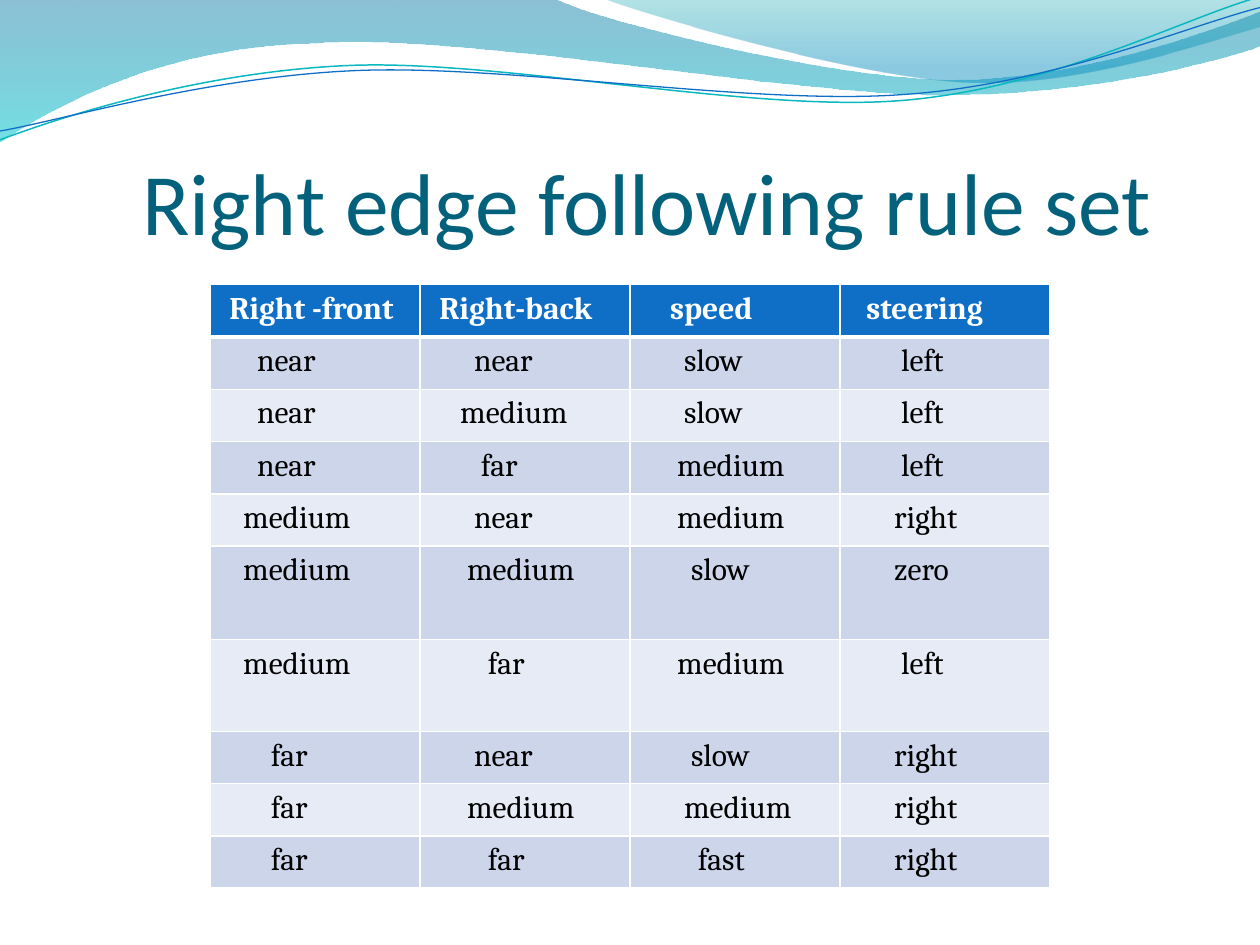
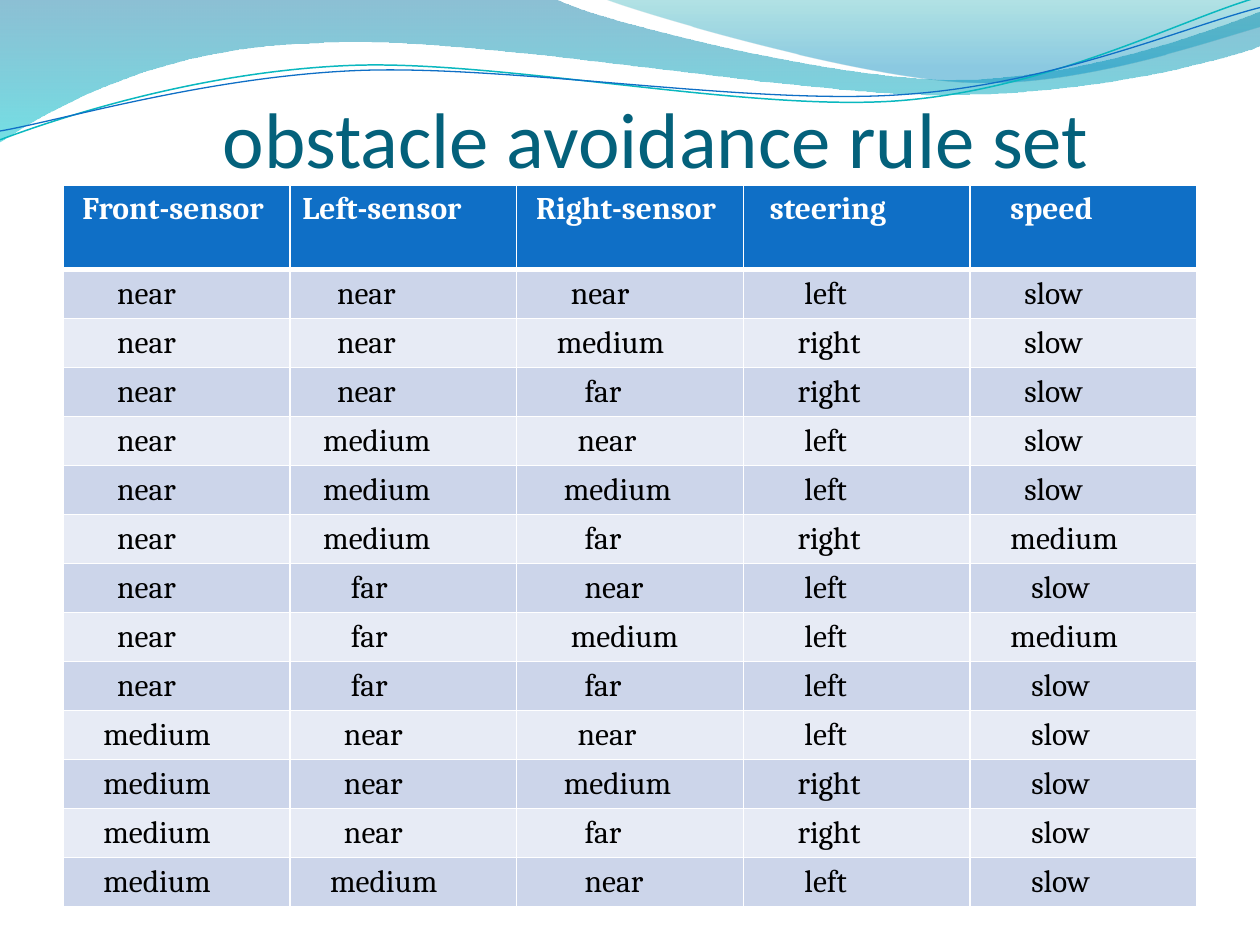
from math import cos, radians, sin

from lxml.etree import SubElement
from pptx import Presentation
from pptx.dml.color import RGBColor
from pptx.enum.text import MSO_ANCHOR
from pptx.oxml import parse_xml
from pptx.oxml.ns import nsdecls, qn
from pptx.util import Inches, Pt

COLORS = {
    "title": "04617B",
    "header": "0F6FC6",
    "header_text": "FFFFFF",
    "body_text": "000000",
    "odd_row": "CCD5EA",
    "even_row": "E7EBF5",
    "border": "FFFFFF",
    "teal_line": "0AB8BF",
    "blue_line": "0F6FC6",
    "wave_top": "0074A1",
    "wave_bottom": "00C6CF",
    "crest_top": "00A1A9",
    "crest_bottom": "008BBF",
}
TITLE_FONT = "Calibri"
TABLE_FONT = "Cambria"
TABLE_SIZE = 18
SPACE_EM = 0.22
SLIDE_WIDTH = 10
LINE_TILT = -2.7
LINE_PIVOT = (4.99, 0.57)

WAVE = [
    (0, 0), (4.4, -0.01),
    (4.76, 0.17, 6.64, 0.63, 7.58, 0.63), (8.53, 0.63, 9.58, 0.26, 10, 0.09),
    (10.01, 0.36),
    (9.83, 0.44, 8.7, 0.76, 7.46, 0.75), (6.22, 0.75, 3.82, 0.28, 2.57, 0.34),
    (1.29, 0.36, 0.46, 0.83, -0.01, 1.13), (0, 0),
]
CREST = [
    (4.79, -0.01),
    (5.09, 0.11, 6.82, 0.62, 7.69, 0.65), (8.56, 0.69, 9.61, 0.32, 10, 0.21),
    (10, 0), (4.79, -0.01),
]
TEAL_LINE = [
    (0, 1.11),
    (0.48, 0.93, 1.58, 0.57, 2.77, 0.52), (3.95, 0.47, 5.93, 0.89, 7.13, 0.8),
    (8.33, 0.71, 9.38, 0.15, 9.98, -0.02),
]
BLUE_LINE = [
    (0, 1.04),
    (0.47, 0.96, 1.64, 0.61, 2.83, 0.56), (4.03, 0.51, 5.97, 0.84, 7.17, 0.75),
    (8.36, 0.67, 9.41, 0.21, 10, 0.06),
]

EDGE_HEADER = (("Right -front", "Right-back", "speed", "steering"), (1, 1, 4, 2))
EDGE_RULES = [
    ("near near slow left", (5, 6, 6, 7)),
    ("near medium slow left", (5, 4, 6, 7)),
    ("near far medium left", (5, 7, 5, 7)),
    ("medium near medium right", (3, 6, 5, 6)),
    ("medium medium slow zero", (3, 5, 7, 6)),
    ("medium far medium left", (3, 8, 5, 7)),
    ("far near slow right", (7, 6, 7, 6)),
    ("far medium medium right", (7, 5, 6, 6)),
    ("far far fast right", (7, 8, 8, 6)),
]
OBSTACLE_HEADER = (
    ("Front-sensor", "Left-sensor", "Right-sensor", "steering", "speed"),
    (1, 0, 1, 2, 4),
)
OBSTACLE_RULES = [
    ("near near near left slow", (6, 5, 6, 7, 6)),
    ("near near medium right slow", (6, 5, 4, 6, 6)),
    ("near near far right slow", (6, 5, 8, 6, 6)),
    ("near medium near left slow", (6, 3, 7, 7, 6)),
    ("near medium medium left slow", (6, 3, 5, 7, 6)),
    ("near medium far right medium", (6, 3, 8, 6, 4)),
    ("near far near left slow", (6, 7, 8, 7, 7)),
    ("near far medium left medium", (6, 7, 6, 7, 4)),
    ("near far far left slow", (6, 7, 8, 7, 7)),
    ("medium near near left slow", (4, 6, 7, 7, 7)),
    ("medium near medium right slow", (4, 6, 5, 6, 7)),
    ("medium near far right slow", (4, 6, 8, 6, 7)),
    ("medium medium near left slow", (4, 4, 8, 7, 7)),
]


def rgb(name):
    return RGBColor.from_string(COLORS[name])


def level_point(x, y, tilt):
    turn = radians(-tilt)
    dx, dy = x - LINE_PIVOT[0], y - LINE_PIVOT[1]
    return (
        Inches(LINE_PIVOT[0] + dx * cos(turn) - dy * sin(turn)),
        Inches(LINE_PIVOT[1] + dx * sin(turn) + dy * cos(turn)),
    )


def add_outline(slide, segments, close, tilt=0):
    traced = [
        [level_point(x, y, tilt) for x, y in zip(segment[::2], segment[1::2])]
        for segment in segments
    ]
    builder = slide.shapes.build_freeform(*traced[0][0])
    builder.add_line_segments([points[-1] for points in traced[1:]], close=close)
    outline = builder.convert_to_shape()
    outline.shadow.inherit = False
    for step, points in zip(outline._element.xpath(".//a:path/a:lnTo"), traced[1:]):
        if len(points) == 3:
            step.tag = qn("a:cubicBezTo")
            step.clear()
            for x, y in points:
                SubElement(step, qn("a:pt"), x=str(x - outline.left), y=str(y - outline.top))
    outline.rotation = tilt
    return outline


def add_band(slide, segments, stops):
    band = add_outline(slide, segments, True)
    band.line.fill.background()
    band.fill.gradient()
    band.fill.gradient_angle = 270
    for stop, (position, color, opacity) in zip(band.fill.gradient_stops, stops):
        stop.position = position
        stop.color.rgb = rgb(color)
    for tint, (position, color, opacity) in zip(band._element.xpath(".//a:gs/a:srgbClr"), stops):
        SubElement(tint, qn("a:alpha"), val=str(opacity * 1000))


def add_wave_line(slide, segments, color, width):
    wave_line = add_outline(slide, segments, False, LINE_TILT)
    wave_line.fill.background()
    wave_line.line.color.rgb = rgb(color)
    wave_line.line.width = Pt(width)


def add_wave_header(slide):
    add_band(slide, WAVE, [(0, "wave_top", 45), (1, "wave_bottom", 55)])
    add_band(slide, CREST, [(0, "crest_top", 30), (0.8, "crest_bottom", 45)])
    add_wave_line(slide, TEAL_LINE, "teal_line", 0.85)
    add_wave_line(slide, BLUE_LINE, "blue_line", 0.75)


def style_text(paragraph, text, font, size, color, bold=False):
    paragraph.text = text
    paragraph.font.name = font
    paragraph.font.size = Pt(size)
    paragraph.font.bold = bold
    paragraph.font.color.rgb = rgb(color)


def add_title(slide, text, height, size, indent):
    title = slide.shapes.add_textbox(Inches(0.5), Inches(0.76), Inches(9), Inches(height))
    frame = title.text_frame
    frame.word_wrap = True
    frame.vertical_anchor = MSO_ANCHOR.BOTTOM
    frame.margin_left = Inches(indent)
    frame.margin_top = Inches(0.05)
    frame.margin_right = frame.margin_bottom = 0
    style_text(frame.paragraphs[0], text, TITLE_FONT, size, "title")


def set_borders(cell, top, bottom):
    properties = cell._tc.get_or_add_tcPr()
    for index, (side, width) in enumerate(zip("LRTB", (1, 1, top, bottom))):
        properties.insert(index, parse_xml(
            f'<a:ln{side} {nsdecls("a")} w="{Pt(width)}"><a:solidFill>'
            f'<a:srgbClr val="{COLORS["border"]}"/></a:solidFill></a:ln{side}>'
        ))


def add_rule_table(slide, header, rules, top, width, height, tall_rows):
    rows = [header] + [(words.split(), indents) for words, indents in rules]
    columns = len(header[0])
    left = (SLIDE_WIDTH - width) / 2
    table = slide.shapes.add_table(
        len(rows), columns, Inches(left), Inches(top), Inches(width), Inches(height)
    ).table
    for column in table.columns:
        column.width = Inches(width / columns)
    row_height = (height - sum(tall_rows.values())) / (len(rows) - len(tall_rows))
    for r, (words, indents) in enumerate(rows):
        table.rows[r].height = Inches(tall_rows.get(r, row_height))
        is_header = r == 0
        fill = "header" if is_header else "odd_row" if r % 2 else "even_row"
        text_color = "header_text" if is_header else "body_text"
        for c, (word, indent) in enumerate(zip(words, indents)):
            cell = table.cell(r, c)
            cell.margin_left = Inches(0.1) + Pt(indent * SPACE_EM * TABLE_SIZE)
            cell.margin_bottom = Inches(0.02)
            cell.fill.solid()
            cell.fill.fore_color.rgb = rgb(fill)
            set_borders(cell, 3 if r == 1 else 1, 3 if is_header else 1)
            style_text(cell.text_frame.paragraphs[0], word, TABLE_FONT, TABLE_SIZE,
                       text_color, is_header)


def add_rule_slide(deck):
    slide = deck.slides.add_slide(deck.slide_layouts[6])
    add_wave_header(slide)
    return slide


def main():
    deck = Presentation()
    deck.slide_width = Inches(SLIDE_WIDTH)
    deck.slide_height = Inches(7.5)

    edge = add_rule_slide(deck)
    add_title(edge, "Right edge following rule set", 1.25, 50, 0.63)
    add_rule_table(edge, EDGE_HEADER, EDGE_RULES, 2.26, 6.67, 4.79, {5: 0.74, 6: 0.73})

    obstacle = add_rule_slide(deck)
    add_title(obstacle, "obstacle avoidance rule set", 0.7, 45, 1.27)
    add_rule_table(obstacle, OBSTACLE_HEADER, OBSTACLE_RULES, 1.47, 9, 5.73, {0: 0.67})

    deck.save("out.pptx")


if __name__ == "__main__":
    main()
